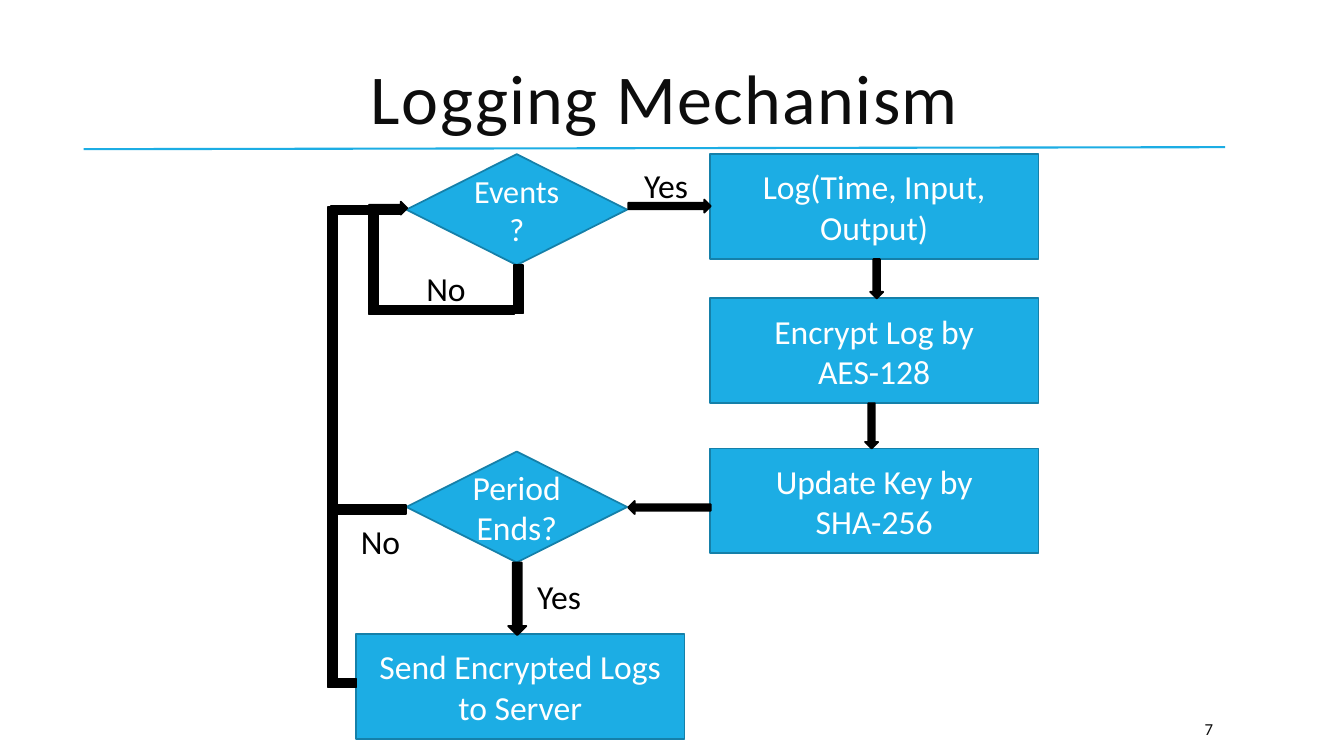
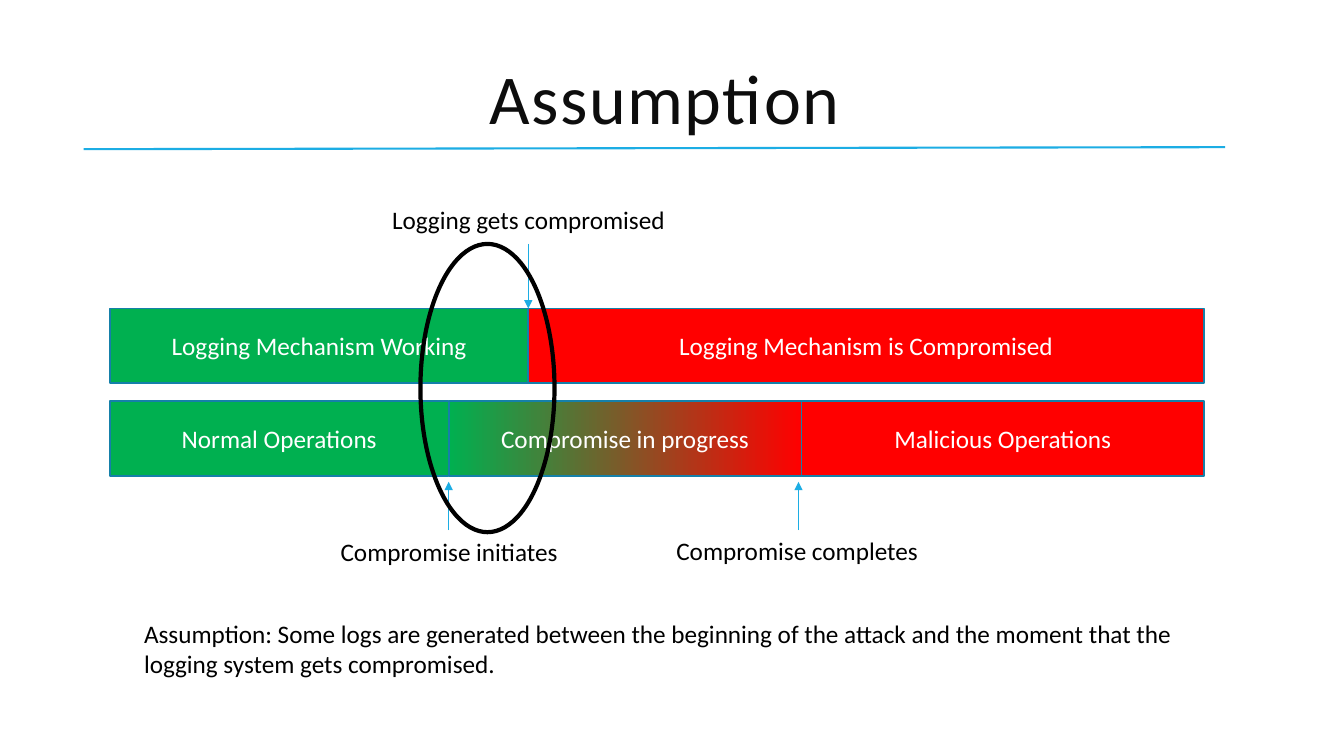
import itertools

import lxml.etree
import pptx
import pptx.dml.color
import pptx.enum.shapes
import pptx.enum.text
import pptx.oxml.ns
import pptx.util

RGB = pptx.dml.color.RGBColor
SHAPE = pptx.enum.shapes.MSO_SHAPE
ALIGN = pptx.enum.text.PP_ALIGN
ANCHOR = pptx.enum.text.MSO_ANCHOR

PX = 9144
FONT = "Calibri"
BLUE = RGB(0x1C, 0xAD, 0xE4)
EDGE = RGB(0x15, 0x80, 0xA9)
GREEN = RGB(0x00, 0xB0, 0x50)
RED = RGB(0xFF, 0x00, 0x00)
BLACK = RGB(0x00, 0x00, 0x00)
INK = RGB(0x0D, 0x0D, 0x0D)
WHITE = RGB(0xFF, 0xFF, 0xFF)


def emu(*px):
    return [v * PX for v in px]


def within(box, part):
    x, y, w, h = part
    return box[0] + x, box[1] + y, w, h


def write(sp, text, size, color, align):
    tf = sp.text_frame
    tf.word_wrap = True
    tf.text = text
    p = tf.paragraphs[0]
    p.alignment = align
    font = p.runs[0].font
    font.name = FONT
    font.size = pptx.util.Pt(size)
    font.color.rgb = color


def add_text(s, box, text, size, color=BLACK, align=ALIGN.LEFT, anchor=ANCHOR.TOP):
    sp = s.shapes.add_textbox(*emu(*box))
    write(sp, text, size, color, align)
    sp.text_frame.vertical_anchor = anchor
    return sp


def add_label(s, box, text, size):
    sp = add_text(s, box, text, size)
    sp.text_frame.auto_size = pptx.enum.text.MSO_AUTO_SIZE.SHAPE_TO_FIT_TEXT


def add_shape(s, kind, box, fill, edge=EDGE, weight=1.25, text="", size=18):
    sp = s.shapes.add_shape(kind, *emu(*box))
    sp.shadow.inherit = False
    if fill is None:
        sp.fill.background()
    elif isinstance(fill, RGB):
        sp.fill.solid()
        sp.fill.fore_color.rgb = fill
    else:
        sp.fill.gradient()
        sp.fill.gradient_angle = 0
        for position, (stop, color) in enumerate(zip(sp.fill.gradient_stops, fill)):
            stop.position = position
            stop.color.rgb = color
    sp.line.color.rgb = edge
    sp.line.width = pptx.util.Pt(weight)
    if text:
        write(sp, text, size, WHITE, ALIGN.CENTER)


def add_line(s, start, end, weight, arrow=False):
    cn = s.shapes.add_connector(
        pptx.enum.shapes.MSO_CONNECTOR.STRAIGHT, *emu(*start, *end))
    cn.line.color.rgb = BLUE
    cn.line.width = pptx.util.Pt(weight)
    qn = pptx.oxml.ns.qn
    props = cn.element.find(qn("p:spPr"))
    if arrow:
        lxml.etree.SubElement(
            props.find(qn("a:ln")), qn("a:tailEnd"), type="triangle")
    lxml.etree.SubElement(props, qn("a:effectLst"))


def add_titled_slide(prs, title):
    s = prs.slides.add_slide(prs.slide_layouts[6])
    for ph in list(s.placeholders):
        ph.element.getparent().remove(ph.element)
    add_line(s, (83, 148), (1215, 146), 1.5)
    sp = add_text(s, (202, 47, 915, 112), title, 50, INK, ALIGN.CENTER, ANCHOR.MIDDLE)
    sp.text_frame.paragraphs[0].line_spacing = 0.8
    sp.element.xpath(".//a:rPr")[0].set("spc", "100")
    return s


def add_flowchart(s, box):
    for y, text, size in ((0, "Events?", 23), (295, "Period Ends?", 24)):
        add_shape(s, SHAPE.DIAMOND, within(box, (78, y, 219, 110)), BLUE,
                  text=text, size=size)
    steps = (
        (379, 0, "Log(Time, Input, Output)"),
        (379, 143, "Encrypt Log by AES-128"),
        (379, 292, "Update Key by SHA-256"),
        (28, 476, "Send Encrypted Logs to Server"),
    )
    for x, y, text in steps:
        add_shape(s, SHAPE.RECTANGLE, within(box, (x, y, 326, 104)), BLUE,
                  text=text, size=24)

    paths = (
        (SHAPE.RIGHT_ARROW, ((298, 45, 82, 13), (41, 47, 38, 13))),
        (SHAPE.DOWN_ARROW, ((538, 104, 13, 39), (533, 247, 13, 45),
                            (179, 405, 18, 72))),
        (SHAPE.LEFT_ARROW, ((298, 344, 82, 13),)),
        (SHAPE.RECTANGLE, ((185, 110, 9, 48), (41, 150, 144, 9), (41, 51, 9, 99),
                           (3, 348, 75, 9), (0, 52, 9, 305), (3, 51, 69, 8),
                           (0, 520, 28, 9), (0, 221, 9, 305))),
    )
    for kind, parts in paths:
        for part in parts:
            add_shape(s, kind, within(box, part), BLACK, BLACK)

    labels = (
        (304, 6, 75, "Yes"),
        (198, 413, 77, "Yes"),
        (88, 108, 80, "No"),
        (23, 359, 85, "No"),
    )
    for x, y, w, text in labels:
        add_label(s, within(box, (x, y, w, 50)), text, 24)


def add_track(s, box, segments):
    widths = [w for w, _, _ in segments]
    lefts = itertools.accumulate(widths, initial=0)
    for x, (w, fill, text) in zip(lefts, segments):
        add_shape(s, SHAPE.RECTANGLE, within(box, (x, 0, w, box[3])), fill, text=text)


def add_timeline(s, box):
    left, top, width, _ = box
    add_track(s, within(box, (0, 200, width, 74)), (
        (336, GREEN, "Normal Operations"),
        (350, (GREEN, RED), "Compromise in progress"),
        (399, RED, "Malicious Operations"),
    ))
    add_track(s, within(box, (0, 108, width, 74)), (
        (415, GREEN, "Logging Mechanism Working"),
        (670, RED, "Logging Mechanism is Compromised"),
    ))
    events = (
        (336, 328, 280, (219, 329, 236, 40), "Compromise initiates"),
        (683, 328, 280, (552, 328, 263, 40), "Compromise completes"),
        (415, 44, 108, (270, 0, 292, 40), "Logging gets compromised"),
    )
    for x, start, end, label, text in events:
        add_line(s, (left + x, top + start), (left + x, top + end), 0.75, arrow=True)
        add_label(s, within(box, label), text, 18)
    add_shape(s, SHAPE.OVAL, within(box, (308, 44, 133, 286)), None, BLACK, 3)


def main():
    prs = pptx.Presentation()
    prs.slide_width, prs.slide_height = emu(1333, 750)

    s = add_titled_slide(prs, "Logging Mechanism")
    add_text(s, (1185, 708, 106, 30), "7", 12, INK, anchor=ANCHOR.MIDDLE)
    add_flowchart(s, (325, 153, 705, 580))

    s = add_titled_slide(prs, "Assumption")
    add_timeline(s, (109, 198, 1085, 369))
    add_label(s, (133, 608, 1108, 71),
              "Assumption: Some logs are generated between the beginning of the attack "
              "and the moment that the logging system gets compromised.", 18)

    prs.save("out.pptx")


if __name__ == "__main__":
    main()
